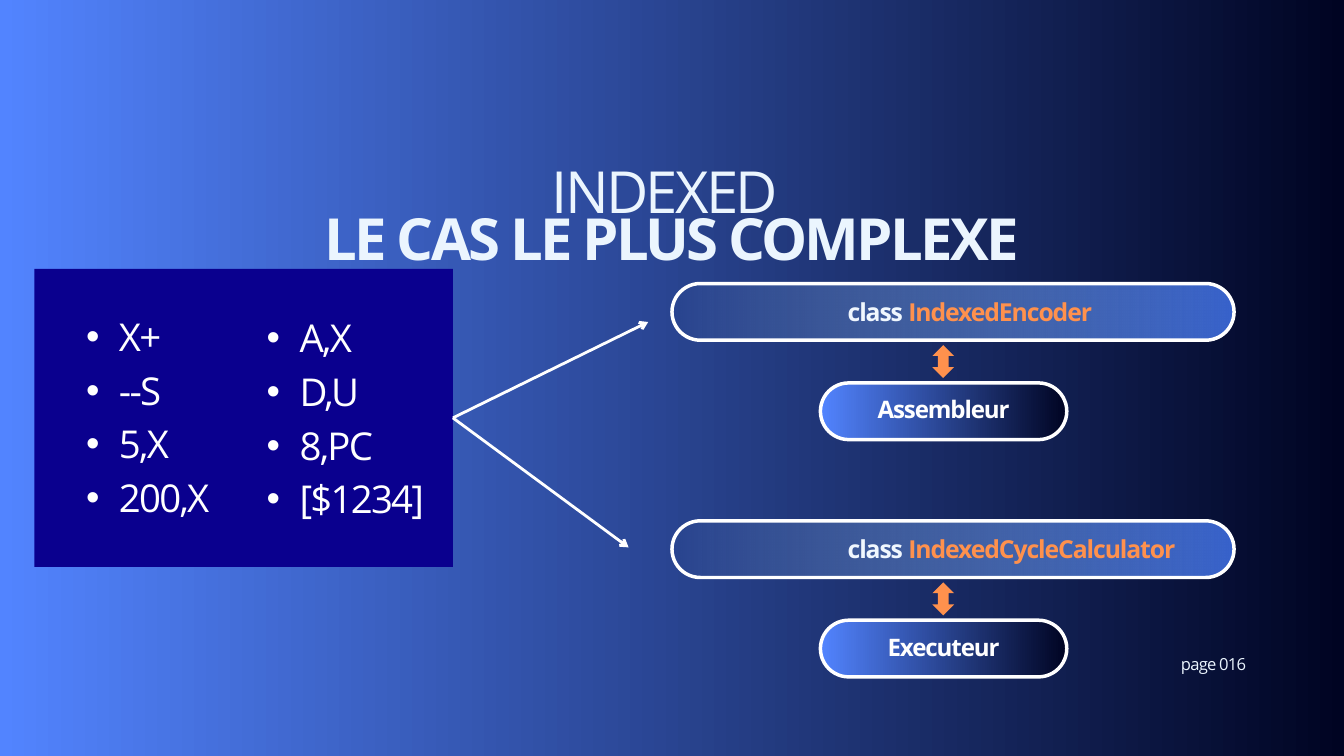
from lxml import etree
from pptx import Presentation
from pptx.dml.color import RGBColor
from pptx.enum.shapes import MSO_CONNECTOR, MSO_SHAPE
from pptx.enum.text import MSO_ANCHOR, PP_ALIGN
from pptx.oxml.ns import qn
from pptx.util import Emu, Pt

LINE = MSO_CONNECTOR.STRAIGHT
RECT, PILL = MSO_SHAPE.RECTANGLE, MSO_SHAPE.ROUNDED_RECTANGLE
ARROW = MSO_SHAPE.UP_DOWN_ARROW
MIDDLE, TOP = MSO_ANCHOR.MIDDLE, MSO_ANCHOR.TOP
LEFT, CENTER, JUSTIFY = PP_ALIGN.LEFT, PP_ALIGN.CENTER, PP_ALIGN.JUSTIFY
FONT = "Open Sans"
WHITE, PALE, ORANGE, NAVY = "FFFFFF", "EBF5FE", "FF914D", "0A008E"
FADE = ("5284FF", "000422")
GLASS = ("9FCDFF", "3964CD")


def px(n):
    return Emu(n * 9525)


def color(code):
    return RGBColor.from_string(code)


def sub(parent, tag, **attrs):
    return etree.SubElement(parent, qn(tag), **attrs)


def blend(fill, codes):
    """Fill with a gradient running from left to right."""
    fill.gradient()
    fill.gradient_angle = 0
    for stop, code in zip(fill.gradient_stops, codes):
        stop.color.rgb = color(code)


def add_form(slide, kind, box, fill=None):
    form = slide.shapes.add_shape(kind, *map(px, box))
    form.shadow.inherit = False
    form.line.fill.background()
    if fill:
        form.fill.solid()
        form.fill.fore_color.rgb = color(fill)
    return form


def add_pill(slide, box, codes):
    pill = add_form(slide, PILL, box)
    pill.adjustments[0] = 0.5
    blend(pill.fill, codes)
    pill.line.width = Pt(3.75)
    pill.line.color.rgb = color(WHITE)
    return pill


def style(run, size, code, bold, track):
    font = run.font
    font.name, font.size, font.bold = FONT, Pt(size), bold
    font.color.rgb = color(code)
    run._r.get_or_add_rPr().set("spc", str(round(track * 100)))


def add_text(slide, box, lines, size, pitch, track, align=LEFT, bold=False,
             anchor=TOP):
    """Write lines, each a list of (words, colour) runs."""
    frame = slide.shapes.add_textbox(*map(px, box)).text_frame
    frame.word_wrap = True
    frame.vertical_anchor = anchor
    frame.margin_left = frame.margin_right = 0
    frame.margin_top = frame.margin_bottom = 0
    for i, line in enumerate(lines):
        para = frame.add_paragraph() if i else frame.paragraphs[0]
        para.alignment, para.line_spacing = align, Pt(pitch)
        for words, code in line:
            run = para.add_run()
            run.text = words
            style(run, size, code, bold, track)
    return frame


def add_title(slide, box, top, main):
    x, y, w, h = box
    for i, words in enumerate((top, main)):
        shift = (-10, 0)[i]
        add_text(slide, (x + shift, y + 67 * i, w, h), [[(words, PALE)]],
                 62.2, 87, -2.9, CENTER, bold=i == 1)


def add_list(slide, box, items):
    frame = add_text(slide, box, [[(item, WHITE)] for item in items],
                     41.1, 57.6, -1.9, JUSTIFY)
    for para in frame.paragraphs:
        props = para._p.get_or_add_pPr()
        props.set("marL", str(px(93)))
        props.set("indent", str(px(-47)))
        sub(props, "a:buFont", typeface="Arial")
        sub(props, "a:buChar", char="•")


def add_modes(slide, box, left, right):
    """Panel with two bulleted columns."""
    x, y, w, h = box
    add_form(slide, RECT, box, NAVY)
    add_list(slide, (x + 28, y + 52, 245, 308), left)
    add_list(slide, (x + 286, y + 54, 278, 308), right)


def add_link(slide, start, end):
    link = slide.shapes.add_connector(LINE, *map(px, start + end))
    link.line.width = Pt(3)
    link.line.color.rgb = color(WHITE)
    sub(link.line._get_or_add_ln(), "a:tailEnd", type="arrow")
    sub(link._element.spPr, "a:effectLst")


def add_pair(slide, box, name, user):
    """Class pill, with its user in a smaller pill below."""
    x, y, w, h = box
    wide = add_pill(slide, box, GLASS)
    first = wide._element.spPr.find(".//" + qn("a:srgbClr"))
    sub(first, "a:alpha", val="0")
    add_text(slide, (x + 251, y + 12, 527, 50),
             [[("class", "F0F7FE"), (" " + name, ORANGE)]],
             26.5, 37.1, -1.2, bold=True)
    add_form(slide, ARROW, (x + 372, y + 88, 31, 47), ORANGE)
    small = (x + 212, y + 142, 352, h)
    add_pill(slide, small, FADE)
    add_text(slide, (x + 212, y + 130, 352, 92), [[(user, WHITE)]],
             25.8, 36.1, -1.2, CENTER, True, MIDDLE)


def main():
    deck = Presentation()
    deck.slide_width, deck.slide_height = px(1920), px(1080)
    slide = deck.slides.add_slide(deck.slide_layouts[6])
    blend(slide.background.fill, FADE)

    add_title(slide, (409, 206, 1102, 112), "INDEXED", "LE CAS LE PLUS COMPLEXE")
    add_modes(slide, (49, 384, 598, 426), ["X+", "--S", "5,X", "200,X"],
              ["A,X", "D,U", "8,PC", "[$1234]"])
    for end in ((926, 460), (898, 782)):
        add_link(slide, (647, 597), end)
    add_pair(slide, (960, 405, 803, 81), "IndexedEncoder", "Assembleur")
    add_pair(slide, (960, 744, 803, 81), "IndexedCycleCalculator", "Executeur")
    add_text(slide, (1687, 930, 125, 32), [[("page 016", PALE)]],
             17.8, 24.9, -0.8)
    deck.save("out.pptx")


if __name__ == "__main__":
    main()
